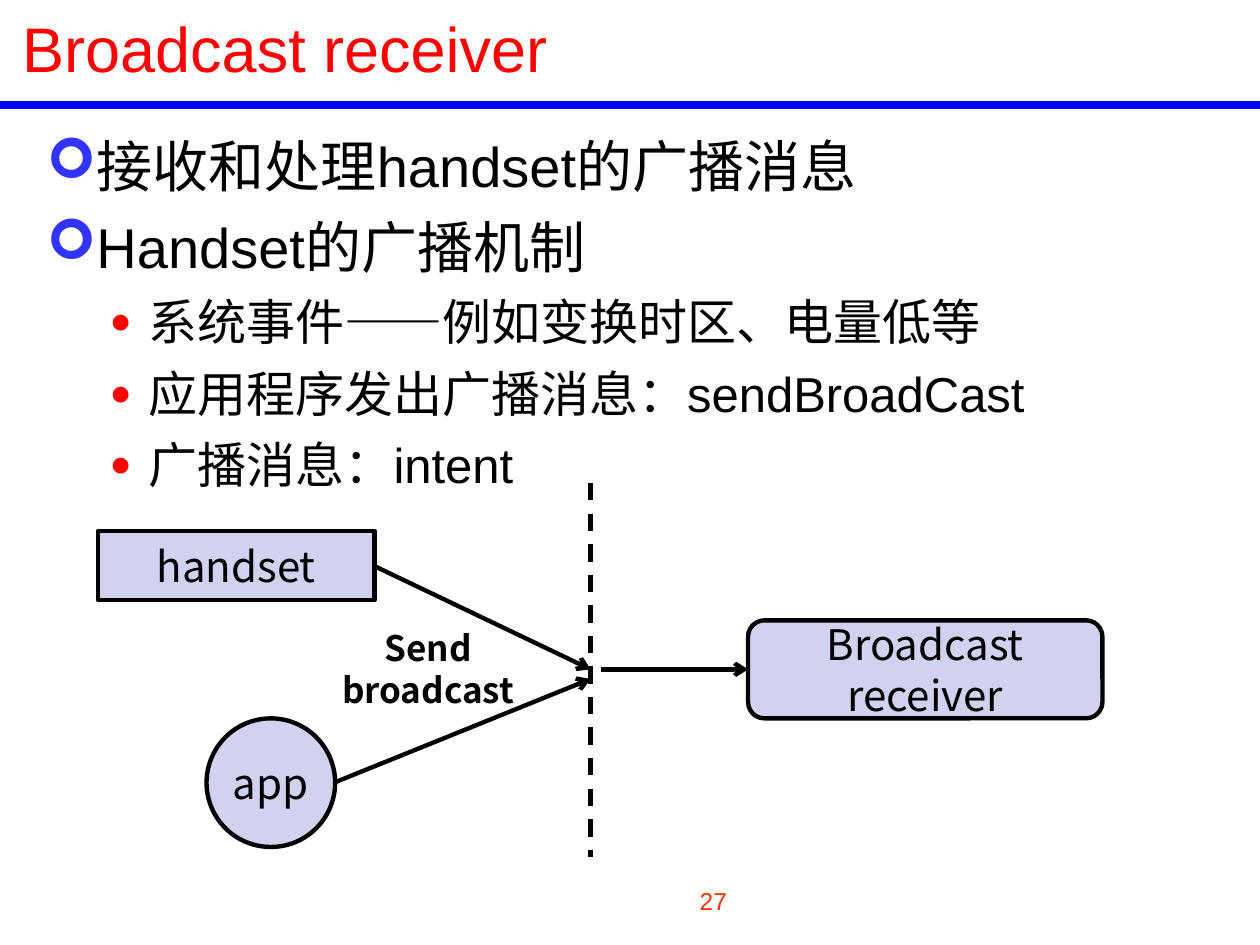
from lxml.etree import SubElement
from pptx import Presentation
from pptx.dml.color import RGBColor
from pptx.enum.dml import MSO_LINE
from pptx.enum.shapes import MSO_CONNECTOR, MSO_SHAPE
from pptx.enum.text import MSO_ANCHOR, PP_ALIGN
from pptx.oxml.ns import qn
from pptx.util import Pt

LATIN, CJK = "Arial", "Noto Sans CJK SC"
TITLE = "Broadcast receiver"
LEVELS = [
    {"size": 32, "before": 8, "margin": 27.5, "hang": 27.5, "bullet": "➢",
     "color": "3333FF", "font": "Wingdings", "scale": 100},
    {"size": 28, "before": 7, "margin": 58.5, "hang": 22.5, "bullet": "●",
     "color": "FF0000", "font": LATIN, "scale": 75},
]
BULLETS = [
    (0, "接收和处理handset的广播消息"),
    (0, "Handset的广播机制"),
    (1, "系统事件——例如变换时区、电量低等"),
    (1, "应用程序发出广播消息：sendBroadCast"),
    (1, "广播消息：intent"),
]
NODES = [
    ("handset", MSO_SHAPE.RECTANGLE, (56, 303.5, 158, 39.5), False),
    ("app", MSO_SHAPE.OVAL, (118, 410.5, 73.5, 73.5), False),
    ("Broadcast receiver", MSO_SHAPE.ROUNDED_RECTANGLE, (427.5, 354.5, 202.5, 56), True),
]
ARROWS = [
    (214, 323.5, 337.5, 382.5),
    (191.5, 447, 337.5, 388),
    (343.5, 382.5, 427.5, 382.5),
]
BOUNDARY = (337.5, 276, 337.5, 489.5)
HEADER_RULE = (0, 60.25, 720, 60.25)


def color(value):
    return RGBColor.from_string(value)


def points(values):
    return [Pt(value) for value in values]


def format_text(paragraph, size, font=LATIN, fill="000000", bold=False):
    for run in paragraph.runs:
        run.font.size, run.font.name, run.font.bold = Pt(size), font, bold
        run.font.color.rgb = color(fill)
        SubElement(run._r.get_or_add_rPr(), qn("a:ea")).set("typeface", CJK)


def add_text(slide, box, text, alignment, **style):
    shape = slide.shapes.add_textbox(*points(box))
    shape.text_frame.word_wrap = True
    shape.text_frame.text = text
    paragraph = shape.text_frame.paragraphs[0]
    paragraph.alignment = alignment
    format_text(paragraph, **style)


def add_line(slide, ends, width=2.5, fill="000000", dash=None, arrow=False):
    connector = slide.shapes.add_connector(MSO_CONNECTOR.STRAIGHT, *points(ends))
    connector.line.width = Pt(width)
    connector.line.color.rgb = color(fill)
    if dash:
        connector.line.dash_style = dash
    if arrow:
        SubElement(connector.line._get_or_add_ln(), qn("a:tailEnd")).set("type", "arrow")
    SubElement(connector._element.spPr, qn("a:effectLst"))


def add_node(slide, text, kind, box, wrap):
    shape = slide.shapes.add_shape(kind, *points(box))
    shape.shadow.inherit = False
    shape.fill.solid()
    shape.fill.fore_color.rgb = color("D1D1F0")
    shape.line.color.rgb = color("000000")
    shape.line.width = Pt(2.5)
    frame = shape.text_frame
    frame.margin_left = frame.margin_right = frame.margin_top = frame.margin_bottom = 0
    frame.word_wrap = wrap
    frame.vertical_anchor = MSO_ANCHOR.MIDDLE
    frame.text = text
    paragraph = frame.paragraphs[0]
    paragraph.alignment = PP_ALIGN.CENTER
    format_text(paragraph, 24, CJK)


def add_title(slide):
    title = slide.shapes.title
    title.left, title.top, title.width, title.height = points((5.5, 0, 598, 54.5))
    title.text_frame.text = TITLE
    title.text_frame.vertical_anchor = MSO_ANCHOR.MIDDLE
    paragraph = title.text_frame.paragraphs[0]
    paragraph.alignment = PP_ALIGN.LEFT
    format_text(paragraph, 36, fill="FF0000")


def add_bullets(slide):
    frame = slide.shapes.add_textbox(*points((19.5, 71.5, 680, 221))).text_frame
    frame.word_wrap = True
    frame.text = "\n".join(text for _, text in BULLETS)
    for paragraph, (depth, _) in zip(frame.paragraphs, BULLETS):
        level = LEVELS[depth]
        paragraph.level = depth
        paragraph.space_before = Pt(level["before"])
        properties = paragraph._p.get_or_add_pPr()
        properties.set("marL", str(Pt(level["margin"])))
        properties.set("indent", str(-Pt(level["hang"])))
        bullet_color = SubElement(properties, qn("a:buClr"))
        SubElement(bullet_color, qn("a:srgbClr")).set("val", level["color"])
        SubElement(properties, qn("a:buSzPct")).set("val", str(level["scale"] * 1000))
        SubElement(properties, qn("a:buFont")).set("typeface", level["font"])
        SubElement(properties, qn("a:buChar")).set("char", level["bullet"])
        format_text(paragraph, level["size"])


def main():
    """Build the broadcast receiver slide."""
    presentation = Presentation()
    presentation.slide_width, presentation.slide_height = Pt(720), Pt(540)
    slide = presentation.slides.add_slide(presentation.slide_layouts[5])
    add_line(slide, HEADER_RULE, 4.5, "0000FF")
    add_title(slide)
    add_bullets(slide)
    add_text(slide, (326, 502.5, 96.5, 17.5), "27", PP_ALIGN.RIGHT, size=14, fill="FF3300")
    for node in NODES:
        add_node(slide, *node)
    add_line(slide, BOUNDARY, dash=MSO_LINE.DASH)
    add_text(slide, (180, 354.5, 129.5, 55.5), "Send broadcast",
             PP_ALIGN.CENTER, size=20, font=CJK, bold=True)
    for ends in ARROWS:
        add_line(slide, ends, arrow=True)
    presentation.save("out.pptx")


if __name__ == "__main__":
    main()
